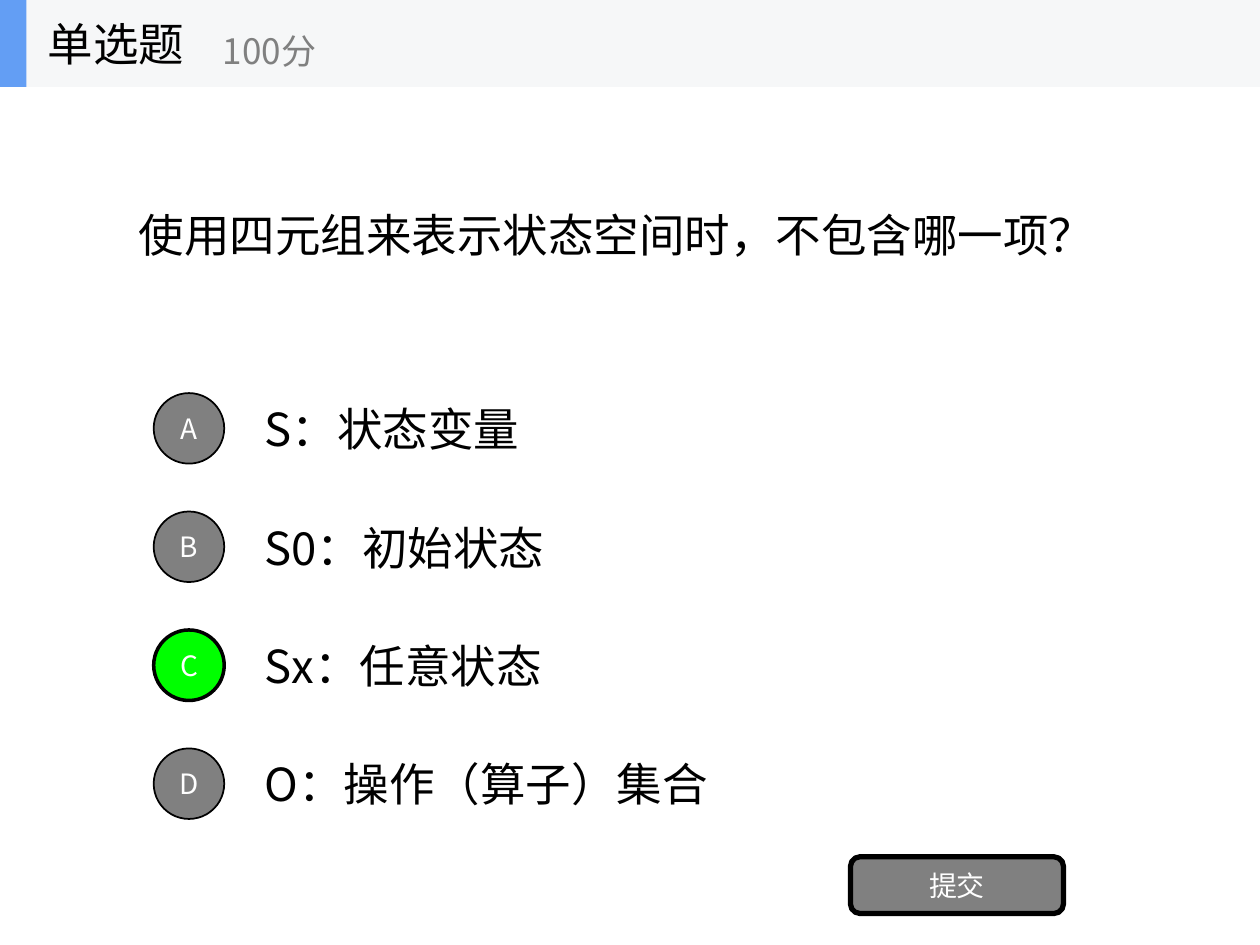
from dataclasses import dataclass

import lxml.etree
import pptx
import pptx.dml.color
import pptx.enum.shapes
import pptx.enum.text
import pptx.oxml.ns
import pptx.util

Inches = pptx.util.Inches
RGBColor = pptx.dml.color.RGBColor
Shapes = pptx.enum.shapes.MSO_SHAPE
Align = pptx.enum.text.PP_ALIGN

BLACK = RGBColor(0x00, 0x00, 0x00)
WHITE = RGBColor(0xFF, 0xFF, 0xFF)
GRAY = RGBColor(0x80, 0x80, 0x80)
GREEN = RGBColor(0x00, 0xFF, 0x00)
HEADER_FILL = RGBColor(0xF6, 0xF7, 0xF8)
ACCENT = RGBColor(0x63, 0x9E, 0xF4)

FONT = "Noto Sans CJK SC"
FRAME_FORMAT = {
    "word_wrap": True,
    "auto_size": pptx.enum.text.MSO_AUTO_SIZE.NONE,
    "vertical_anchor": pptx.enum.text.MSO_ANCHOR.MIDDLE,
}
OPTION_TOP = 3.05
OPTION_PITCH = 0.94
BADGE_SIZE = 0.56
BADGE_OFFSET = 0.07


@dataclass(frozen=True)
class Box:
    left: float
    top: float
    width: float
    height: float

    def lengths(self) -> tuple:
        return tuple(Inches(value) for value in (self.left, self.top, self.width, self.height))


@dataclass(frozen=True)
class Option:
    letter: str
    text: str
    fill: RGBColor = GRAY
    line_width: float = 1


OPTIONS = [
    Option("A", "S：状态变量"),
    Option("B", "S0：初始状态"),
    Option("C", "Sx：任意状态", GREEN, 2),
    Option("D", "O：操作（算子）集合"),
]


def apply_format(target, values: dict) -> None:
    for name, value in values.items():
        setattr(target, name, value)


def write_text(shape, text: str, size: float, color: RGBColor, alignment=Align.LEFT) -> None:
    apply_format(shape.text_frame, FRAME_FORMAT)
    paragraph = shape.text_frame.paragraphs[0]
    paragraph.alignment = alignment
    run = paragraph.add_run()
    run.text = text
    apply_format(run.font, {"size": pptx.util.Pt(size), "name": FONT})
    run.font.color.rgb = color
    properties = run._r.get_or_add_rPr()
    lxml.etree.SubElement(properties, pptx.oxml.ns.qn("a:ea"), typeface=FONT)


def add_label(shapes, box: Box, text: str, size: float = 26, color: RGBColor = BLACK) -> None:
    write_text(shapes.add_textbox(*box.lengths()), text, size, color)


def add_block(shapes, kind, box: Box, fill: RGBColor, line_width: float = 0, text: str = "") -> None:
    shape = shapes.add_shape(kind, *box.lengths())
    shape.shadow.inherit = False
    shape.fill.solid()
    shape.fill.fore_color.rgb = fill
    if line_width:
        shape.line.color.rgb = BLACK
        shape.line.width = pptx.util.Pt(line_width)
    else:
        shape.line.fill.background()
    if text:
        write_text(shape, text, 16, WHITE, Align.CENTER)


def add_question(slide, box: Box, text: str) -> None:
    title = slide.shapes.title
    apply_format(title, dict(zip(("left", "top", "width", "height"), box.lengths())))
    write_text(title, text, 26, BLACK)


def add_options(shapes) -> None:
    for index, option in enumerate(OPTIONS):
        top = OPTION_TOP + index * OPTION_PITCH
        add_label(shapes, Box(2, top, 7, 0.7), option.text)
        badge = Box(1.22, top + BADGE_OFFSET, BADGE_SIZE, BADGE_SIZE)
        add_block(shapes, Shapes.OVAL, badge, option.fill, option.line_width, option.letter)


def add_header(slide) -> None:
    shapes = slide.shapes.add_group_shape().shapes
    add_block(shapes, Shapes.RECTANGLE, Box(0, 0, 10, 0.69), HEADER_FILL)
    add_block(shapes, Shapes.RECTANGLE, Box(0, 0, 0.21, 0.69), ACCENT)
    add_label(shapes, Box(0.28, 0, 2.08, 0.69), "单选题")
    add_label(shapes, Box(1.67, 0.12, 2.5, 0.56), "100分", 20, GRAY)


def main() -> None:
    presentation = pptx.Presentation()
    apply_format(presentation, {"slide_width": Inches(10), "slide_height": Inches(7.5)})
    slide = presentation.slides.add_slide(presentation.slide_layouts[5])
    add_question(slide, Box(1, 0.69, 8, 2.34), "使用四元组来表示状态空间时，不包含哪一项？")
    add_options(slide.shapes)
    add_block(slide.shapes, Shapes.ROUNDED_RECTANGLE, Box(6.75, 6.8, 1.69, 0.45), GRAY, 3, "提交")
    add_header(slide)
    presentation.save("out.pptx")


if __name__ == "__main__":
    main()
